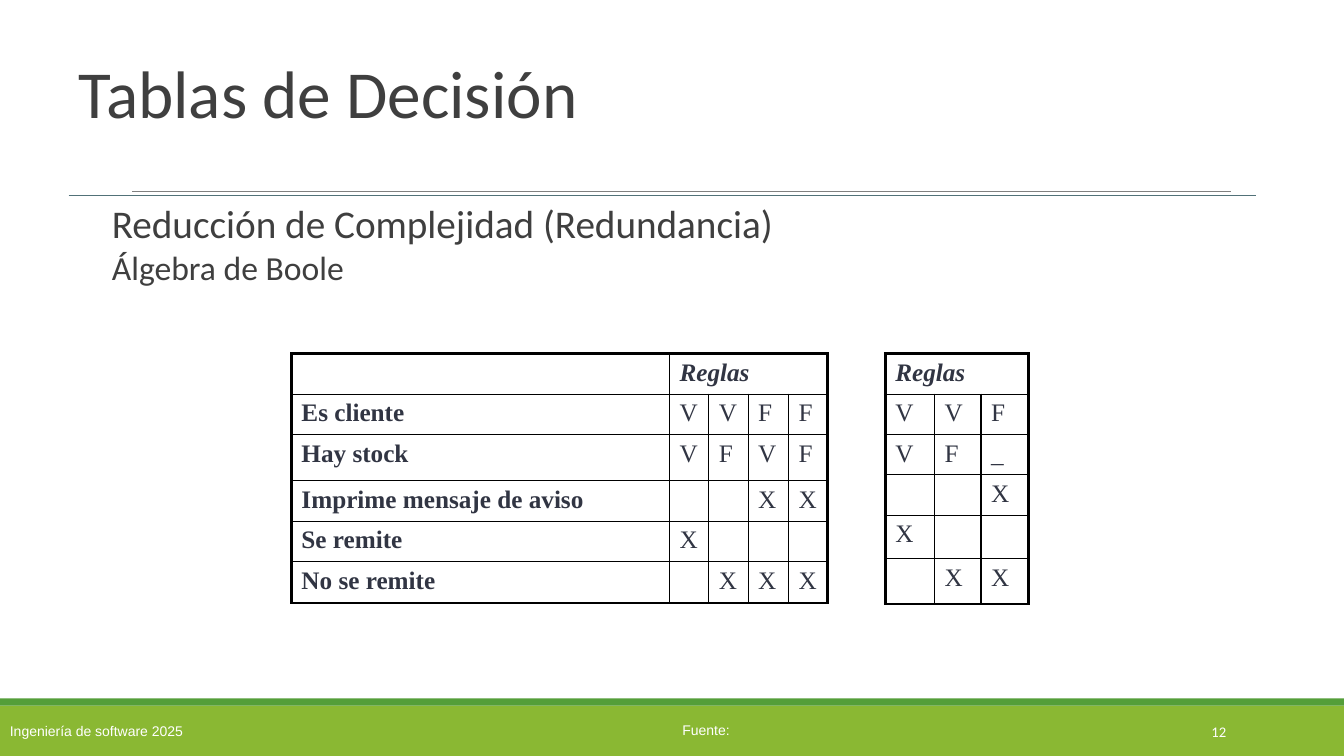
from pptx import Presentation
from pptx.dml.color import RGBColor
from pptx.enum.shapes import MSO_CONNECTOR, MSO_SHAPE
from pptx.enum.text import MSO_ANCHOR as Anchor, MSO_AUTO_SIZE as AutoSize, PP_ALIGN as Align
from pptx.oxml.ns import qn
from pptx.util import Inches, Pt
from lxml.etree import SubElement


def color(value):
    return RGBColor.from_string(value)


def style(para, size, font, ink, bold=False, italic=False):
    for span in para.runs:
        span.font.size = Pt(size)
        span.font.name = font
        span.font.bold = bold
        span.font.italic = italic
        span.font.color.rgb = color(ink)


deck = Presentation()
deck.slide_width, deck.slide_height = Inches(13.33), Inches(7.5)
page = deck.slides.add_slide(deck.slide_layouts[1])
shapes = page.shapes

# Footer bands
bands = []
for top, height, fill in ((7, 0.5, "8AB833"), (6.93, 0.07, "549E39")):
    band = shapes.add_shape(MSO_SHAPE.RECTANGLE, 0, Inches(top), Inches(13.33), Inches(height))
    band.shadow.inherit = False
    band.fill.solid()
    band.fill.fore_color.rgb = color(fill)
    band.line.fill.background()
    bands.append(band)
footer = bands[0].text_frame
footer.text = "Ingeniería de software 2025"
footer.vertical_anchor = Anchor.MIDDLE
footer.paragraphs[0].alignment = Align.LEFT
style(footer.paragraphs[0], 10, "Arial", "FFFFFF")

# Source label and page number
for text, left, top, width, height, size, font, align, anchor, wrap in (
    ("Fuente:", 6.67, 7.11, 0.67, 0.27, 10, "Arial", Align.LEFT, Anchor.TOP, False),
    ("12", 10.83, 7.06, 1.43, 0.4, 10.5, "Calibri", Align.RIGHT, Anchor.MIDDLE, True),
):
    box = shapes.add_textbox(Inches(left), Inches(top), Inches(width), Inches(height))
    frame = box.text_frame
    frame.text = text
    frame.word_wrap = wrap
    frame.vertical_anchor = anchor
    frame.paragraphs[0].alignment = align
    style(frame.paragraphs[0], size, font, "FFFFFF")

# Rules under the title
for left, right, y, ink in ((1.31, 12.21, 1.9, "7F7F7F"), (0.68, 12.46, 1.94, "517178")):
    rule = shapes.add_connector(MSO_CONNECTOR.STRAIGHT, Inches(left), Inches(y), Inches(right), Inches(y))
    rule.line.color.rgb = color(ink)
    rule.line.width = Pt(0.75)
    SubElement(rule._element.spPr, qn("a:effectLst"))

# Title
title = shapes.title
title.left, title.top, title.width, title.height = Inches(0.68), Inches(0.63), Inches(11.78), Inches(1.31)
frame = title.text_frame
frame.text = "Tablas de Decisión"
frame.auto_size = AutoSize.NONE
frame.vertical_anchor = Anchor.TOP
frame.margin_top = 0
para = frame.paragraphs[0]
para.alignment = Align.LEFT
para.line_spacing = 0.85
style(para, 48, "Calibri", "3F3F3F")

# Subtitles
body = page.placeholders[1]
body.left, body.top, body.width, body.height = Inches(1.01), Inches(2), Inches(10.71), Inches(4.9)
frame = body.text_frame
frame.auto_size = AutoSize.NONE
frame.text = "Reducción de Complejidad (Redundancia)\nÁlgebra de Boole"
for para, level, size, indent in zip(frame.paragraphs, (1, 2), (28, 24), (0.28, 0.45)):
    para.level = level
    para.line_spacing = 0.85
    para.space_before = Pt(4.5)
    style(para, size, "Calibri", "3F3F3F")
    props = para._p.get_or_add_pPr()
    props.set("marL", str(Inches(indent)))
    props.set("indent", str(-Inches(indent)))
    SubElement(props, qn("a:buNone"))

# Decision tables: left, number of label columns, column widths, row heights, cells
full_rules = [
    ["", "Reglas", "", "", ""],
    ["Es cliente", "V", "V", "F", "F"],
    ["Hay stock", "V", "F", "V", "F"],
    ["Imprime mensaje de aviso", "", "", "X", "X"],
    ["Se remite", "X", "", "", ""],
    ["No se remite", "", "X", "X", "X"],
]
reduced_rules = [
    ["Reglas", "", ""],
    ["V", "V", "F"],
    ["V", "F", "_"],
    ["", "", "X"],
    ["X", "", ""],
    ["", "X", "X"],
]
for left, labels, widths, heights, rows in (
    (2.89, 1, (3.75, 0.39, 0.39, 0.4, 0.39), (0.39, 0.38, 0.46, 0.39, 0.38, 0.41), full_rules),
    (8.78, 0, (0.49, 0.46, 0.47), (0.38, 0.38, 0.38, 0.38, 0.43, 0.45), reduced_rules),
):
    last_row, last_col = len(heights) - 1, len(widths) - 1
    table = shapes.add_table(len(heights), len(widths), Inches(left), Inches(3.51),
                             Inches(sum(widths)), Inches(sum(heights))).table
    table.first_row = table.horz_banding = False
    for column, width in zip(table.columns, widths):
        column.width = Inches(width)
    for row, height in zip(table.rows, heights):
        row.height = Inches(height)
    table.cell(0, labels).merge(table.cell(0, last_col))

    for r, row in enumerate(rows):
        for c, text in enumerate(row):
            cell = table.cell(r, c)
            para = cell.text_frame.paragraphs[0]
            if text:
                para.text = text
                style(para, 18, "Times New Roman", "313543", bold=r == 0 or c < labels, italic=r == 0)
            else:
                para._p.get_or_add_endParaRPr().set("sz", "1800")

            # Thick outer border, thin inner lines
            right_col = c + cell.span_width - 1 if cell.is_merge_origin else c
            props = cell._tc.get_or_add_tcPr()
            for tag, outer in (("a:lnL", c == 0), ("a:lnR", right_col == last_col),
                               ("a:lnT", r == 0), ("a:lnB", r == last_row)):
                edge = SubElement(props, qn(tag), w=str(Pt(2.25 if outer else 1)))
                SubElement(SubElement(edge, qn("a:solidFill")), qn("a:srgbClr"), val="000000")
            cell.fill.background()

deck.save("out.pptx")
